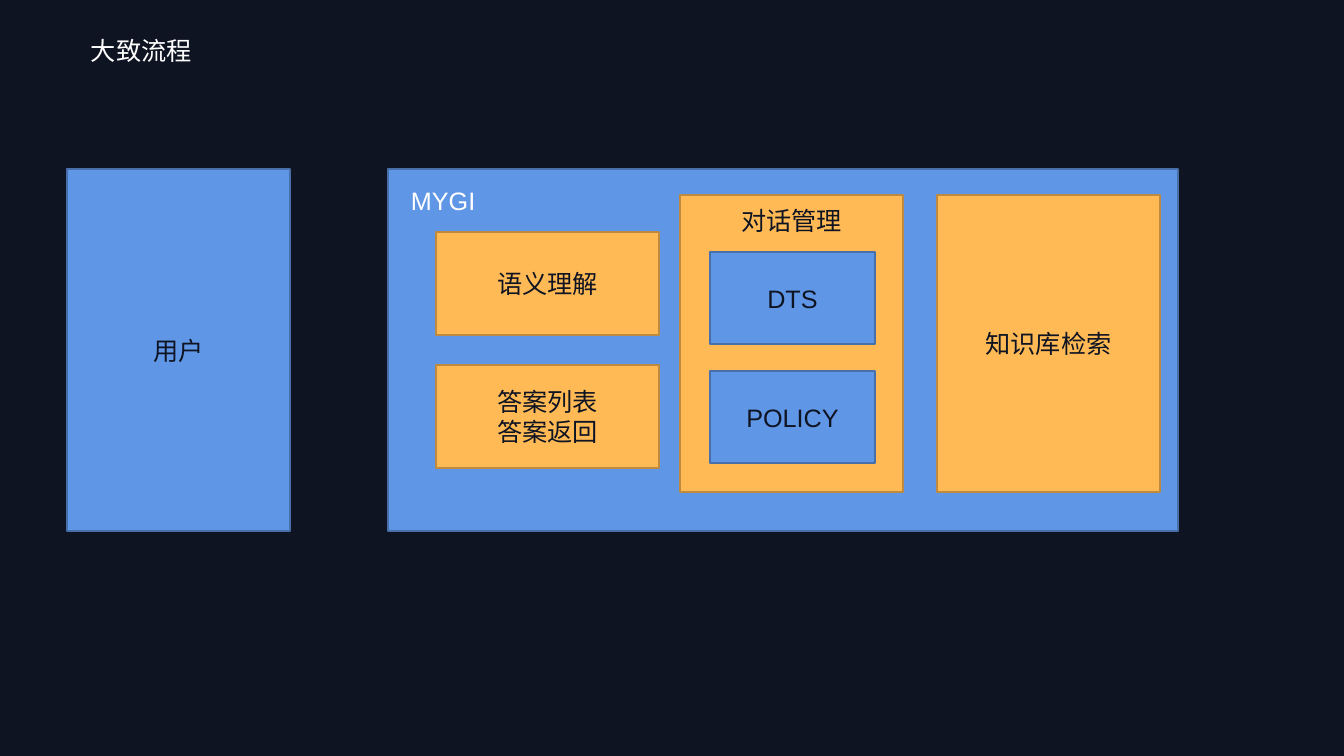
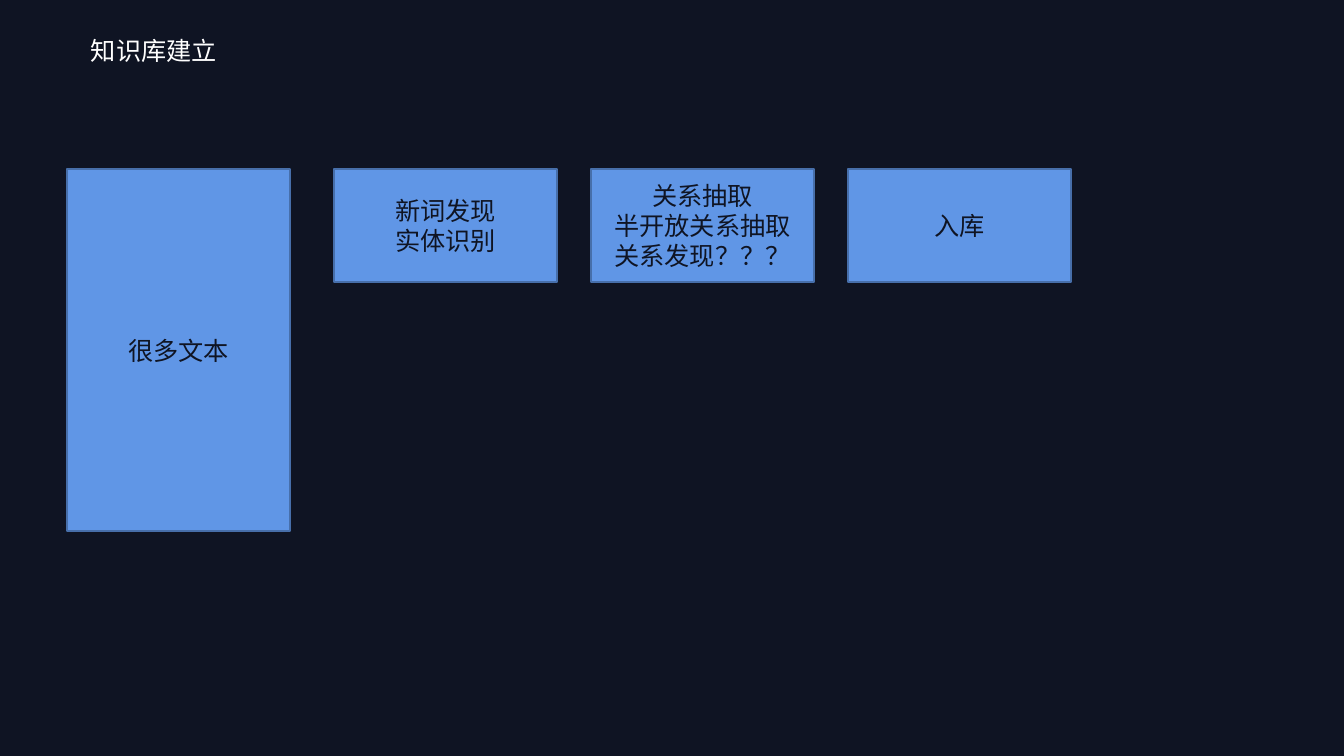
from dataclasses import dataclass

from pptx import Presentation
from pptx.dml.color import RGBColor
from pptx.enum.shapes import MSO_SHAPE
from pptx.enum.text import MSO_ANCHOR, PP_ALIGN
from pptx.util import Emu, Pt

RECTANGLE = MSO_SHAPE.RECTANGLE
TOP, MIDDLE = MSO_ANCHOR.TOP, MSO_ANCHOR.MIDDLE
LEFT, CENTER = PP_ALIGN.LEFT, PP_ALIGN.CENTER

SLIDE_WIDTH, SLIDE_HEIGHT = 1344, 756
PX = 12192000 / SLIDE_WIDTH


@dataclass(frozen=True)
class Theme:
    dark: RGBColor = RGBColor.from_string("0F1423")
    white: RGBColor = RGBColor.from_string("FFFFFF")
    # Fill and outline pairs
    blue: tuple = (RGBColor.from_string("6096E6"), RGBColor.from_string("476FAA"))
    orange: tuple = (RGBColor.from_string("FFBA55"), RGBColor.from_string("BD8A3F"))
    font: str = "Arial"
    size: Pt = Pt(18)
    outline: Pt = Pt(1)


THEME = Theme()


def write(frame, text, color, align, anchor=MIDDLE, inset=5):
    """Fill a text frame, one paragraph per line of text."""
    frame.text = text
    layout = {
        "word_wrap": True,
        "vertical_anchor": anchor,
        "margin_left": Emu(round(10 * PX)),
        "margin_right": Emu(round(10 * PX)),
        "margin_top": Emu(round(inset * PX)),
        "margin_bottom": Emu(round(5 * PX)),
    }
    for name, value in layout.items():
        setattr(frame, name, value)
    for paragraph in frame.paragraphs:
        paragraph.alignment = align
        font = paragraph.font
        font.name, font.size = THEME.font, THEME.size
        font.color.rgb = color


def add_box(slide, bounds, colors, text="", **placing):
    """Add an outlined rectangle; bounds are left, top, width, height in px."""
    box = slide.shapes.add_shape(RECTANGLE, *(Emu(round(n * PX)) for n in bounds))
    box.shadow.inherit = False
    fill, outline = colors
    box.fill.solid()
    box.fill.fore_color.rgb = fill
    box.line.color.rgb = outline
    box.line.width = THEME.outline
    if text:
        write(box.text_frame, text, THEME.dark, CENTER, **placing)


prs = Presentation()
prs.slide_width = Emu(round(SLIDE_WIDTH * PX))
prs.slide_height = Emu(round(SLIDE_HEIGHT * PX))

# Shared background and title position
background = prs.slide_master.background.fill
background.solid()
background.fore_color.rgb = THEME.dark
title_only = prs.slide_layouts[5]
layout_title = title_only.placeholders[0]
title_bounds = {"left": 81, "top": 30, "width": 178, "height": 40}
for name, value in title_bounds.items():
    setattr(layout_title, name, Emu(round(value * PX)))

# Shared column: title and the tall source box at the left
ROW_TOP, COLUMN_WIDTH, TALL = 169, 223, 362
slides = []
for title, source in (("大致流程", "用户"), ("知识库建立", "很多文本")):
    slide = prs.slides.add_slide(title_only)
    write(slide.shapes.title.text_frame, title, THEME.white, LEFT, TOP)
    add_box(slide, (67, ROW_TOP, COLUMN_WIDTH, TALL), THEME.blue, source)
    slides.append(slide)
process, knowledge = slides

# Process: system panel and its name
add_box(process, (388, ROW_TOP, 790, TALL), THEME.blue)
system_name = process.shapes.add_textbox(
    *(Emu(round(n * PX)) for n in (401, 180, 115, 40))
)
write(system_name.text_frame, "MYGI", THEME.white, LEFT, TOP)

# Process: understanding and answers
for row, step in enumerate(("语义理解", "答案列表\n答案返回")):
    add_box(process, (436, 232 + 133 * row, COLUMN_WIDTH, 103), THEME.orange, step)

# Process: dialogue management with its two modules, and retrieval
MODULE_TOP, MODULE_HEIGHT = 195, 297
add_box(process, (680, MODULE_TOP, COLUMN_WIDTH, MODULE_HEIGHT), THEME.orange,
        "对话管理", anchor=TOP, inset=10)
for row, module in enumerate(("DTS", "POLICY")):
    add_box(process, (710, 252 + 119 * row, 165, 92), THEME.blue, module)
add_box(process, (937, MODULE_TOP, COLUMN_WIDTH, MODULE_HEIGHT), THEME.orange,
        "知识库检索")

# Knowledge base: three steps in a row
STEPS = ("新词发现\n实体识别", "关系抽取\n半开放关系抽取\n关系发现？？？", "入库")
STEP_GAP = 34
for column, step in enumerate(STEPS):
    left = 334 + column * (COLUMN_WIDTH + STEP_GAP)
    add_box(knowledge, (left, ROW_TOP, COLUMN_WIDTH, 113), THEME.blue, step)

prs.save("out.pptx")
